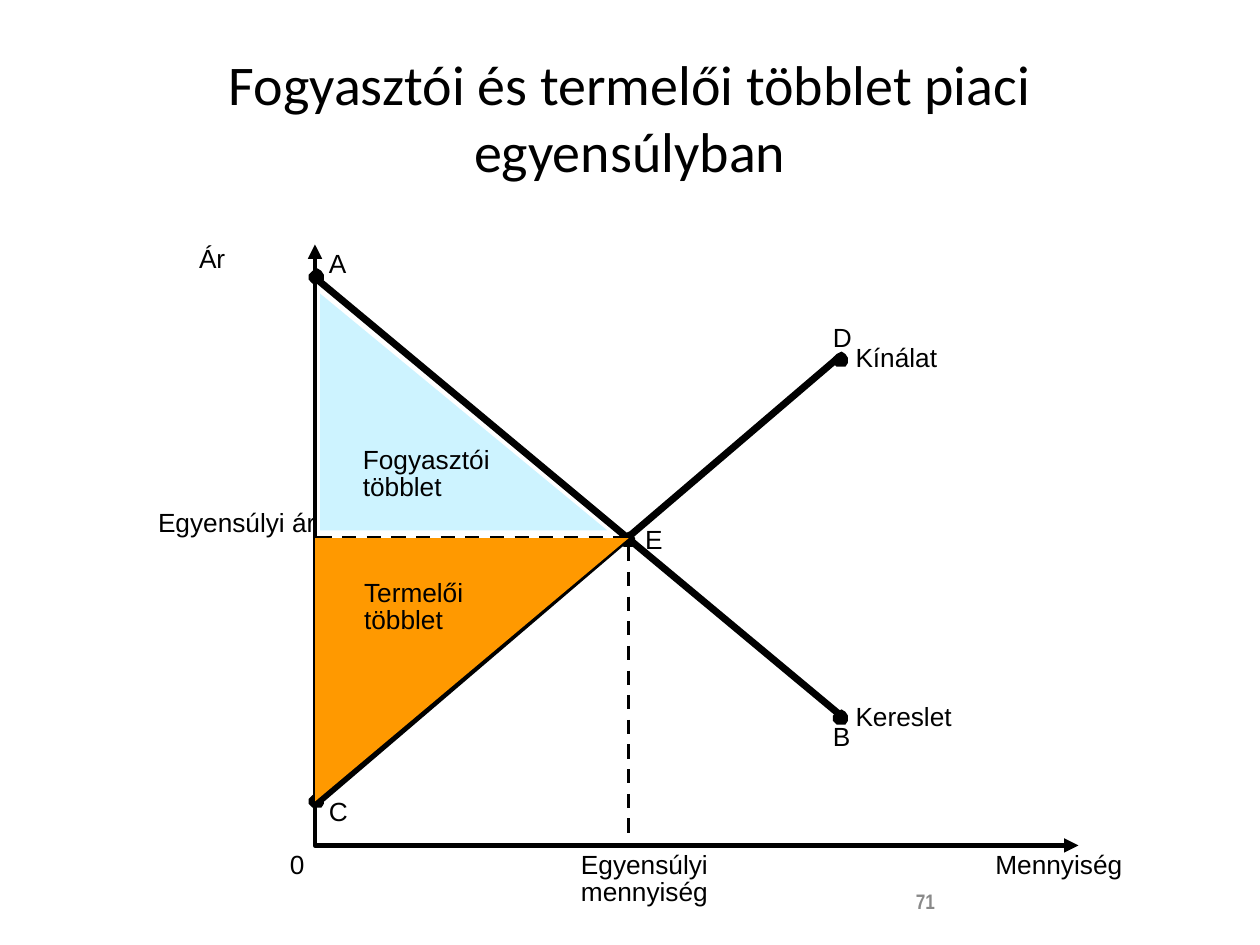
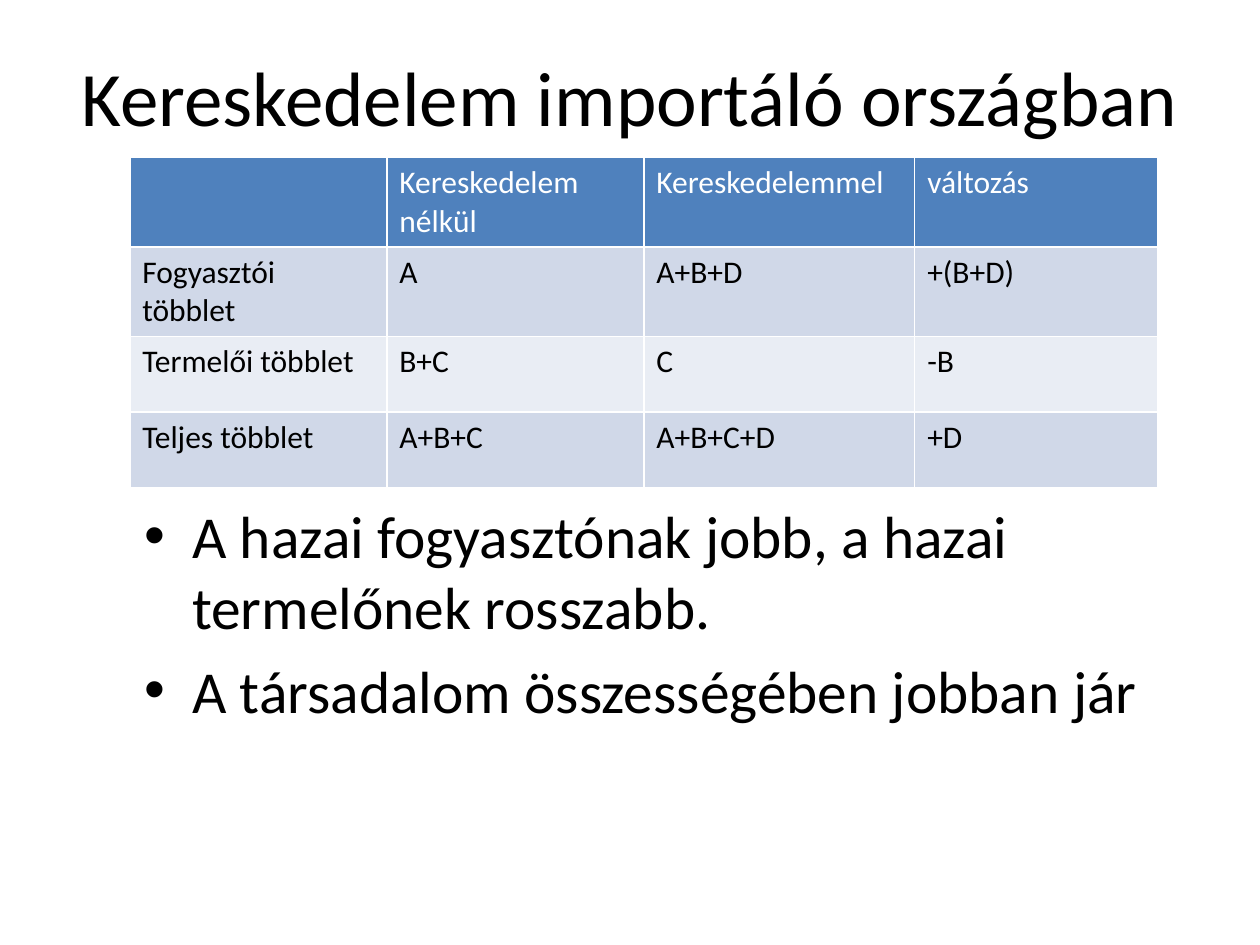
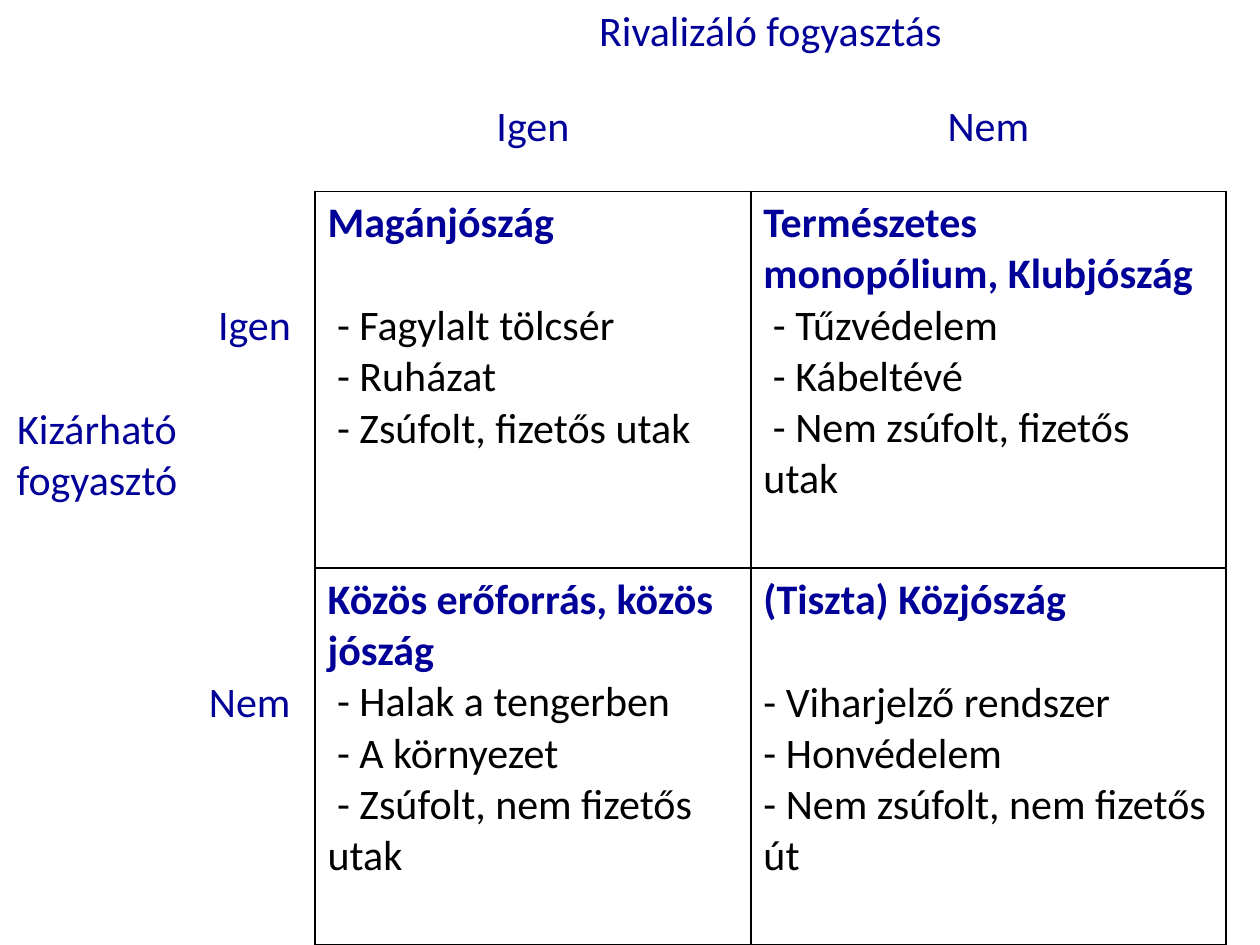
import pptx
import pptx.util
import pptx.dml.color
import pptx.enum.dml
import pptx.enum.shapes
import pptx.enum.text
import pptx.oxml
import pptx.oxml.ns
import lxml.etree

Inches = pptx.util.Inches
Pt = pptx.util.Pt
RGB = pptx.dml.color.RGBColor.from_string
qn = pptx.oxml.ns.qn
CENTER = pptx.enum.text.PP_ALIGN.CENTER
LEFT = pptx.enum.text.PP_ALIGN.LEFT

COLORS = {
    "black": "000000",
    "white": "FFFFFF",
    "grey": "898989",
    "navy": "000099",
    "orange": "FF9900",
    "ice": "CDF3FF",
    "header": "4F81BD",
    "band": "D0D8E8",
    "light_band": "E9EDF4",
}
TITLE_BOX = [Inches(v) for v in (0.5, 0.3, 9, 1.25)]
NO_TABLE_STYLE = "{2D5ABB26-0587-4C30-8999-92F81FD0307C}"


def add_span(para, text, size, color="black", font="Calibri", bold=False):
    span = para.add_run()
    span.text = text
    span.font.size = Pt(size)
    span.font.name = font
    span.font.bold = bold
    span.font.color.rgb = RGB(COLORS[color])


def set_borders(cell, sides, color):
    properties = cell._tc.get_or_add_tcPr()
    for position, side in enumerate(sides):
        border = lxml.etree.Element(qn("a:ln" + side), w=str(Pt(1)))
        fill = lxml.etree.SubElement(border, qn("a:solidFill"))
        lxml.etree.SubElement(fill, qn("a:srgbClr"), val=COLORS[color])
        properties.insert(position, border)


deck = pptx.Presentation()
deck.slide_width = Inches(10)
deck.slide_height = Inches(7.5)
content_layout, title_layout, blank_layout = (deck.slide_layouts[i] for i in (1, 5, 6))

page = deck.slides.add_slide(title_layout)
title = page.shapes.title
title.left, title.top, title.width, title.height = TITLE_BOX
add_span(title.text_frame.paragraphs[0], "Fogyasztói és termelői többlet piaci egyensúlyban", 32)

box = page.shapes.add_textbox(Inches(7.17), Inches(6.95), Inches(2.33), Inches(0.4))
box.text_frame.word_wrap = True
box.text_frame.vertical_anchor = pptx.enum.text.MSO_ANCHOR.MIDDLE
add_span(box.text_frame.paragraphs[0], "71", 12, "grey", "Arial Narrow", True)

dot_offsets = [(0.07, 0.12), (0.1, 0.12), (0.12, 0.09), (0.12, 0.05), (0.1, 0.02),
               (0.07, 0), (0.03, 0.02), (0, 0.05), (0, 0.09), (0.03, 0.12)]
dot_corners = [(2.45, 6.29), (4.92, 4.22), (6.61, 2.79), (6.61, 5.63), (2.45, 2.13)]
guide = [(2.52, 4.27), (4.99, 4.27), (4.99, 6.71)]
axes = [(2.5, 1.94), (2.5, 6.71), (8.56, 6.71)]
producer_surplus = [(4.99, 4.27), (2.5, 4.27), (2.5, 6.36)]
consumer_surplus = [(4.82, 4.21), (2.54, 4.21), (2.54, 2.33)]

for start, end in [((2.52, 6.37), (6.64, 2.85)), ((2.52, 2.22), (6.65, 5.66))]:
    curve = page.shapes.add_connector(
        pptx.enum.shapes.MSO_CONNECTOR.STRAIGHT, *[Inches(v) for v in start + end])
    curve.line.color.rgb = RGB(COLORS["black"])
    curve.line.width = Pt(4)
    lxml.etree.SubElement(curve._element.spPr, qn("a:effectLst"))

outlines = [(guide, None, 2), (axes, None, 2.75)]
outlines += [([(x + dx, y + dy) for dx, dy in dot_offsets], "black", 0) for x, y in dot_corners]
outlines += [(producer_surplus, "orange", 0), (consumer_surplus, "ice", 0)]
for points, fill, line_width in outlines:
    corners = [(Inches(x), Inches(y)) for x, y in points]
    builder = page.shapes.build_freeform(*corners[0])
    builder.add_line_segments(corners[1:], close=fill is not None)
    outline = builder.convert_to_shape()
    outline.shadow.inherit = False
    if fill:
        outline.fill.solid()
        outline.fill.fore_color.rgb = RGB(COLORS[fill])
        outline.line.fill.background()
        continue
    outline.fill.background()
    outline.line.color.rgb = RGB(COLORS["black"])
    outline.line.width = Pt(line_width)
    if points is guide:
        outline.line.dash_style = pptx.enum.dml.MSO_LINE.DASH
    else:
        for end in ("a:headEnd", "a:tailEnd"):
            lxml.etree.SubElement(outline.line._get_or_add_ln(), qn(end), type="triangle")

labels = [
    ("Ár", 1.58, 1.92, 0.21, False, LEFT),
    ("Egyensúlyi ár", 1.2, 4.02, 1.36, True, CENTER),
    ("0", 2.3, 6.73, 0.12, False, LEFT),
    ("Mennyiség", 7.9, 6.73, 1.02, False, LEFT),
    ("Egyensúlyi mennyiség", 4.21, 6.77, 1.81, True, CENTER),
    ("A", 2.61, 1.96, 0.16, False, LEFT),
    ("Kínálat", 6.79, 2.71, 0.66, False, LEFT),
    ("C", 2.61, 6.31, 0.15, False, LEFT),
    ("B", 6.61, 5.72, 0.15, False, LEFT),
    ("Kereslet", 6.79, 5.56, 0.77, False, LEFT),
    ("D", 6.61, 2.55, 0.15, False, LEFT),
    ("E", 5.12, 4.15, 0.14, False, LEFT),
    ("Termelői többlet", 2.89, 4.61, 1.24, True, LEFT),
    ("Fogyasztói többlet", 2.88, 3.56, 1.33, True, LEFT),
]
for text, left, top, width, wrap, align in labels:
    two_lines = text.endswith(("többlet", "mennyiség"))
    height = 0.43 if two_lines else 0.25
    box = page.shapes.add_textbox(Inches(left), Inches(top), Inches(width), Inches(height))
    frame = box.text_frame
    frame.margin_left = frame.margin_right = frame.margin_top = frame.margin_bottom = 0
    frame.word_wrap = wrap
    frame.auto_size = pptx.enum.text.MSO_AUTO_SIZE.SHAPE_TO_FIT_TEXT
    para = frame.paragraphs[0]
    para.alignment = align
    if two_lines:
        para.line_spacing = 0.85
    add_span(para, text, 15, font="Arial")

page = deck.slides.add_slide(content_layout)
title = page.shapes.title
title.left, title.top, title.width, title.height = TITLE_BOX
title.text_frame.vertical_anchor = pptx.enum.text.MSO_ANCHOR.TOP
title.text_frame.margin_top = Inches(0.09)
add_span(title.text_frame.paragraphs[0], "Kereskedelem importáló országban", 44)

surplus_rows = [
    ["", "Kereskedelem nélkül", "Kereskedelemmel", "változás"],
    ["Fogyasztói többlet", "A", "A+B+D", "+(B+D)"],
    ["Termelői többlet", "B+C", "C", "-B"],
    ["Teljes többlet", "A+B+C", "A+B+C+D", "+D"],
]
row_fills = ["header", "band", "light_band", "band"]
table = page.shapes.add_table(4, 4, Inches(1.03), Inches(1.25), Inches(8.16), Inches(2.6)).table
for column, width in zip(table.columns, (2.04, 2.04, 2.15, 1.93)):
    column.width = Inches(width)
for row, height in zip(table.rows, (0.7, 0.7, 0.6, 0.6)):
    row.height = Inches(height)
for r, texts in enumerate(surplus_rows):
    for c, text in enumerate(texts):
        cell = table.cell(r, c)
        cell.fill.solid()
        cell.fill.fore_color.rgb = RGB(COLORS[row_fills[r]])
        set_borders(cell, "LRTB", "white")
        if text:
            add_span(cell.text_frame.paragraphs[0], text, 18, "black" if r else "white")

body = page.placeholders[1]
body.left, body.top, body.width, body.height = [Inches(v) for v in (1.05, 3.91, 9.33, 5.92)]
frame = body.text_frame
conclusions = ["A hazai fogyasztónak jobb, a hazai termelőnek rosszabb.",
               "A társadalom összességében jobban jár"]
for i, text in enumerate(conclusions):
    para = frame.add_paragraph() if i else frame.paragraphs[0]
    add_span(para, text, 34)

page = deck.slides.add_slide(blank_layout)
table = page.shapes.add_table(4, 4, 0, 0, Inches(9.73), Inches(7.5)).table
table.first_row = table.horz_banding = False
table._tbl.tblPr.find(qn("a:tableStyleId")).text = NO_TABLE_STYLE
for column, width in zip(table.columns, (1.54, 0.96, 3.46, 3.77)):
    column.width = Inches(width)
for row, height in zip(table.rows, (0.76, 0.76, 2.99, 2.99)):
    row.height = Inches(height)
table.cell(0, 2).merge(table.cell(0, 3))
table.cell(2, 0).merge(table.cell(3, 0))

line_height = 0.41
headings = [
    (0, 2, "Rivalizáló fogyasztás", 0, ""),
    (1, 2, "Igen", 0, "B"),
    (1, 3, "Nem", 0, "B"),
    (2, 0, "Kizárható fogyasztó", 4, ""),
    (2, 1, "Igen", 2, "R"),
    (3, 1, "Nem ", 2, "R"),
]
for r, c, text, lines_down, sides in headings:
    cell = table.cell(r, c)
    cell.margin_top = Inches(0.05 + lines_down * line_height)
    set_borders(cell, sides, "black")
    para = cell.text_frame.paragraphs[0]
    para.alignment = CENTER
    add_span(para, text, 24, "navy")

goods = [
    (2, 2, "Magánjószág", True,
     [" - Fagylalt tölcsér", " - Ruházat", " - Zsúfolt, fizetős utak"]),
    (2, 3, "Természetes monopólium, Klubjószág", False,
     [" - Tűzvédelem", " - Kábeltévé", " - Nem zsúfolt, fizetős utak"]),
    (3, 2, "Közös erőforrás, közös jószág", False,
     [" - Halak a tengerben", " - A környezet", " - Zsúfolt, nem fizetős utak"]),
    (3, 3, "(Tiszta) Közjószág", True,
     ["- Viharjelző rendszer", "- Honvédelem", "- Nem zsúfolt, nem fizetős út"]),
]
for r, c, kind, gap_below, examples in goods:
    cell = table.cell(r, c)
    set_borders(cell, "LRTB", "black")
    add_span(cell.text_frame.paragraphs[0], kind, 24, "navy", bold=True)
    for i, example in enumerate(examples):
        para = cell.text_frame.add_paragraph()
        if gap_below and i == 0:
            para.space_before = Inches(line_height)
        add_span(para, example, 24)

deck.save("out.pptx")
